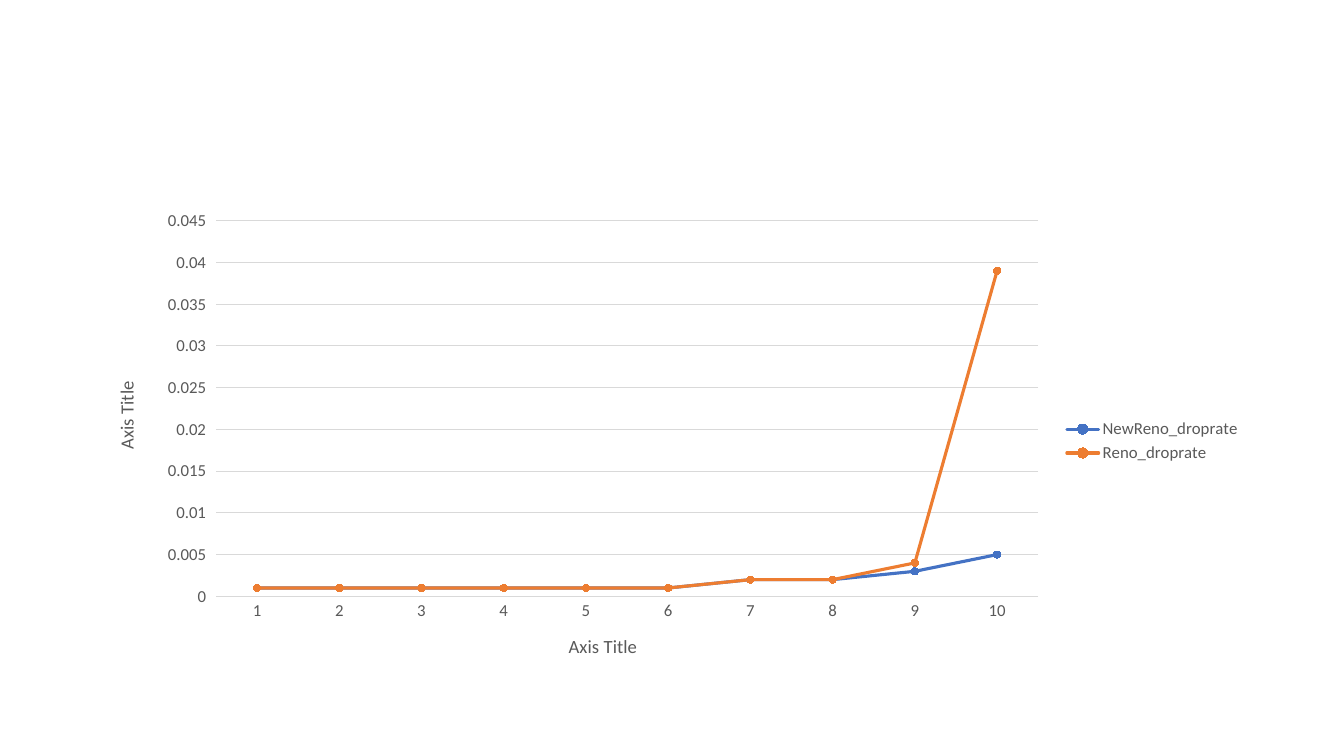
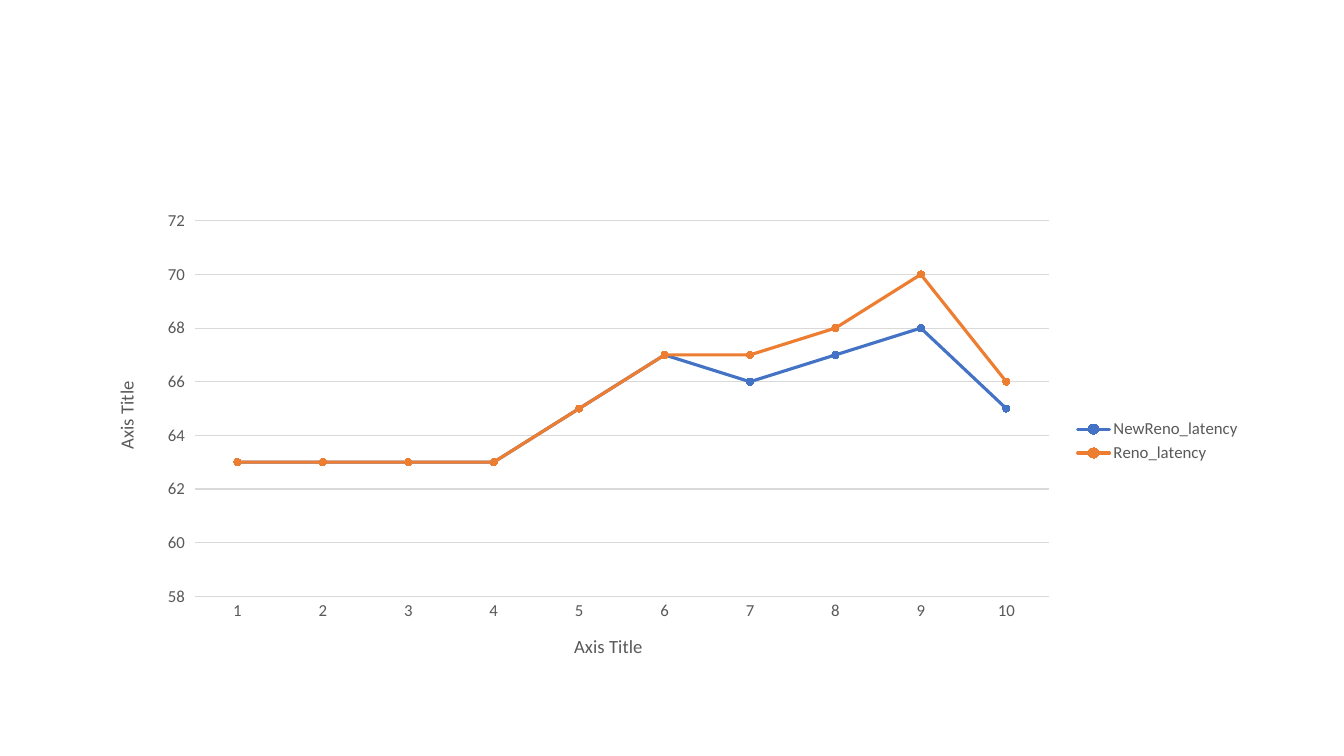
from pptx import Presentation
from pptx import util as u
from pptx.chart import data as cd
from pptx.dml import color as dc
from pptx.enum import chart as ce
from pptx.oxml import ns


def rgb(code):
    """Turn a hex string into a colour."""
    return dc.RGBColor.from_string(code)


def put(obj, **vals):
    """Set each named attribute on an object."""
    for name, val in vals.items():
        setattr(obj, name, val)


class Deck:
    """Hold the shared style and the current slide."""

    FACE, GREY, RULE = "Calibri", "595959", "D9D9D9"
    HUES = ("4472C4", "ED7D31")
    BOX = (66, 143.75, 828, 342.63)

    def __init__(self):
        """Start a wide presentation."""
        self.prs = Presentation()
        put(self.prs, slide_width=u.Pt(960), slide_height=u.Pt(540))
        self.slide = None

    def page(self):
        """Add a blank slide and make it current."""
        self.slide = self.prs.slides.add_slide(self.prs.slide_layouts[6])

    def type(self, font, size):
        """Apply the shared text style."""
        put(font, name=self.FACE, size=u.Pt(size), bold=False)
        font.color.rgb = rgb(self.GREY)

    def line(self, form, hue, width):
        """Colour a line and set its width."""
        form.line.color.rgb = rgb(hue)
        form.line.width = u.Pt(width)

    def axis(self, axis, **vals):
        """Style an axis and its title."""
        put(axis, **vals)
        self.type(axis.tick_labels.font, 12)
        frame = axis.axis_title.text_frame
        frame.text = "Axis Title"
        self.type(frame.paragraphs[0].runs[0].font, 13.3)

    def trend(self, rows, top, step, low=0):
        """Draw a line chart with one marked line per row."""
        data = cd.CategoryChartData()
        data.categories = [str(n) for n in range(1, 11)]
        for name, vals in rows.items():
            data.add_series(name, vals)
        chart = self.slide.shapes.add_chart(
            ce.XL_CHART_TYPE.LINE_MARKERS, *map(u.Pt, self.BOX), data).chart
        put(chart, has_title=False, has_legend=True)
        put(chart.legend, position=ce.XL_LEGEND_POSITION.RIGHT,
            include_in_layout=False)
        self.type(chart.font, 10)
        self.type(chart.legend.font, 12)
        tick = ce.XL_TICK_MARK
        self.axis(chart.category_axis, major_tick_mark=tick.NONE,
                  minor_tick_mark=tick.NONE)
        self.line(chart.category_axis.format, self.RULE, 0.75)
        side = chart.value_axis
        self.axis(side, major_tick_mark=tick.OUTSIDE, minor_tick_mark=tick.NONE,
                  minimum_scale=low, maximum_scale=top, major_unit=step)
        side.format.line.fill.background()
        self.line(side.major_gridlines.format, self.RULE, 0.75)
        for row, hue in zip(chart.plots[0].series, self.HUES):
            self.mark(row, hue)

    def mark(self, row, hue):
        """Give a series a round-capped line and round markers."""
        row.smooth = False
        self.line(row.format, hue, 2.25)
        row._element.spPr.find(ns.qn("a:ln")).set("cap", "rnd")
        put(row.marker, style=ce.XL_MARKER_STYLE.CIRCLE, size=5)
        form = row.marker.format
        form.fill.solid()
        form.fill.fore_color.rgb = rgb(hue)
        self.line(form, hue, 0.75)


def drops(deck):
    """Build the drop rate slide."""
    deck.page()
    deck.trend({
        "NewReno_droprate": [0.001] * 6 + [0.002, 0.002, 0.003, 0.005],
        "Reno_droprate": [0.001] * 6 + [0.002, 0.002, 0.004, 0.039],
    }, top=0.045, step=0.005)


def delays(deck):
    """Build the latency slide."""
    deck.page()
    deck.trend({
        "NewReno_latency": [63, 63, 63, 63, 65, 67, 66, 67, 68, 65],
        "Reno_latency": [63, 63, 63, 63, 65, 67, 67, 68, 70, 66],
    }, top=72, step=2, low=58)


deck = Deck()
drops(deck)
delays(deck)
deck.prs.save("out.pptx")
